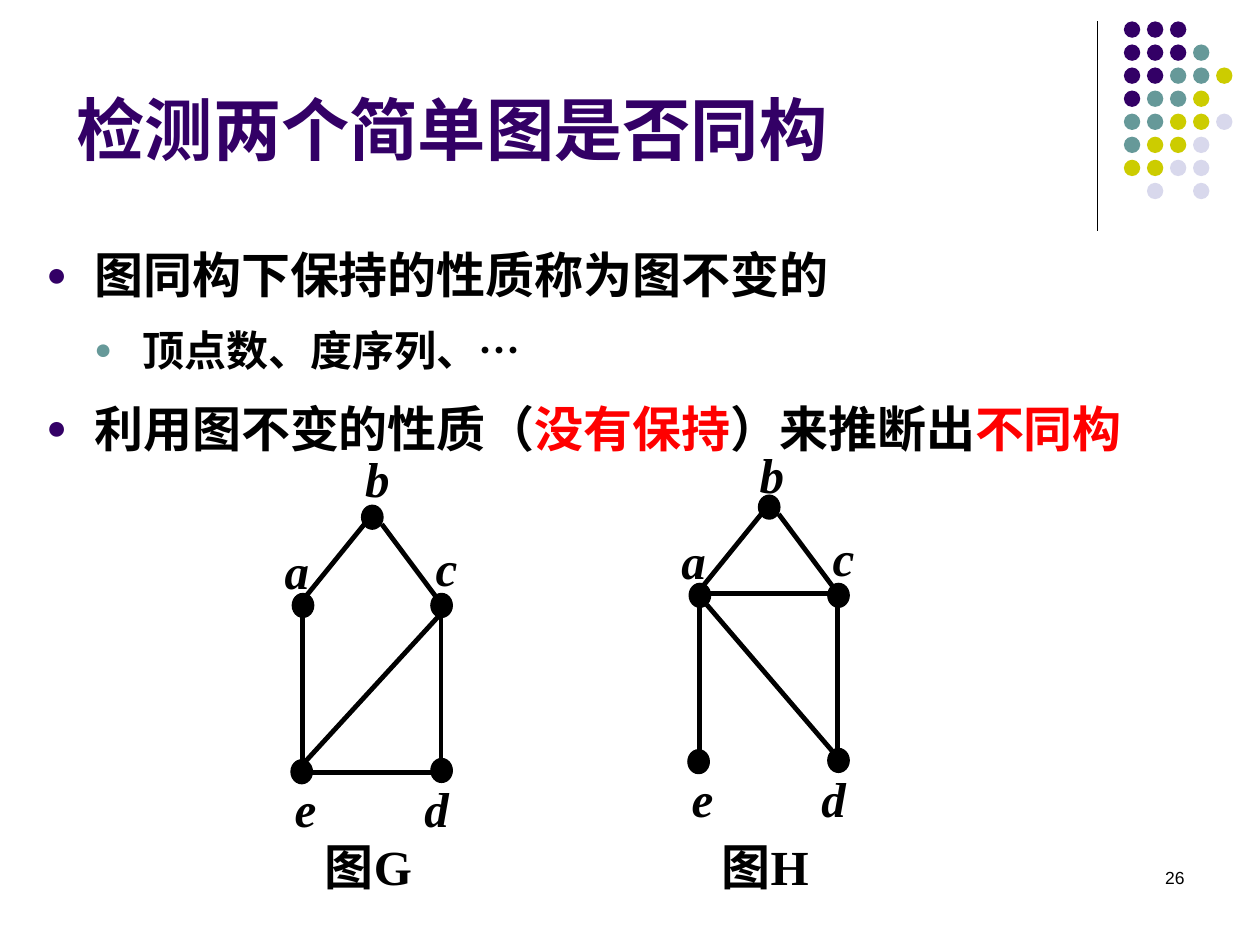
from dataclasses import dataclass

from lxml.etree import SubElement
from pptx import Presentation
from pptx.dml.color import RGBColor
from pptx.enum.lang import MSO_LANGUAGE_ID
from pptx.enum.shapes import MSO_CONNECTOR, MSO_SHAPE
from pptx.enum.text import MSO_ANCHOR, PP_ALIGN
from pptx.oxml.ns import qn
from pptx.util import Inches, Pt


@dataclass(frozen=True)
class Theme:
    plum: str = "330066"
    teal: str = "669999"
    lime: str = "CCCC00"
    pale: str = "D8D8EC"
    black: str = "000000"
    red: str = "FF0000"
    sans: str = "Arial"
    serif: str = "Times New Roman"
    title: int = 39
    body: int = 28
    sub: int = 24
    page: int = 10


THEME = Theme()

# Corner dots: one letter for each color, one string for each row
DOTS = ["PPP", "PPPT", "PPTTL", "PTTL", "TTLLV", "TLLV", "LLVV", " V V"]
HUES = {"P": THEME.plum, "T": THEME.teal, "L": THEME.lime, "V": THEME.pale}

# Graph layout in inches; the second graph is the first one shifted
NODES = [(2.32, 4.71), (2.87, 4.01), (3.42, 4.71), (3.42, 6.02), (2.31, 6.03)]
NAMES = {"a": (2.16, 4.24), "c": (3.36, 4.22), "e": (2.24, 6.13), "d": (3.27, 6.13)}
SHARED = [
    (2.43, 4.73, 2.9, 4.15),   # a-b
    (3.03, 4.16, 3.5, 4.79),   # b-c
    (3.5, 4.87, 3.5, 6.05),    # c-d
    (2.4, 4.87, 2.4, 6.05),    # a-e
]
ONLY_G = [(3.5, 4.87, 2.4, 6.07), (3.5, 6.13, 2.4, 6.13)]    # c-e, d-e
ONLY_H = [(2.46, 4.88, 3.48, 6.07), (3.58, 4.79, 2.48, 4.79)]  # a-d, a-c


def add_run(para, text, size=THEME.body, color=THEME.black, face=THEME.sans,
            bold=True, italic=False):
    run = para.add_run()
    run.text = text
    font = run.font
    font.name, font.size = face, Pt(size)
    font.bold, font.italic = bold, italic
    font.color.rgb = RGBColor.from_string(color)
    font.language_id = MSO_LANGUAGE_ID.SIMPLIFIED_CHINESE


def add_box(host, left, top, width, height, anchor=MSO_ANCHOR.TOP):
    frame = host.add_textbox(*map(Inches, (left, top, width, height))).text_frame
    frame.word_wrap = True
    frame.vertical_anchor = anchor
    return frame


def add_label(host, text, left, top, width=0.39, height=0.57, align=PP_ALIGN.LEFT,
              anchor=MSO_ANCHOR.TOP, **style):
    para = add_box(host, left, top, width, height, anchor).paragraphs[0]
    para.alignment = align
    add_run(para, text, **style)


def add_dot(host, left, top, width, height, color, edge=False):
    dot = host.add_shape(MSO_SHAPE.OVAL, *map(Inches, (left, top, width, height)))
    dot.shadow.inherit = False
    dot.fill.solid()
    dot.fill.fore_color.rgb = RGBColor.from_string(color)
    if edge:
        dot.line.color.rgb = RGBColor.from_string(color)
        dot.line.width = Pt(0.75)
    else:
        dot.line.fill.background()


def add_line(host, ends, width):
    line = host.add_connector(MSO_CONNECTOR.STRAIGHT, *map(Inches, ends))
    line.line.color.rgb = RGBColor.from_string(THEME.black)
    line.line.width = Pt(width)
    SubElement(line._element.spPr, qn("a:effectLst"))


def add_bullet(para, level, color):
    props = para._p.get_or_add_pPr()
    props.set("marL", str(Inches(0.38 * (level + 1))))
    props.set("indent", str(-Inches(0.38)))
    hue = SubElement(props, qn("a:buClr"))
    SubElement(hue, qn("a:srgbClr"), val=color)
    SubElement(props, qn("a:buSzPct"), val="70000")
    SubElement(props, qn("a:buFont"), typeface=THEME.sans)
    SubElement(props, qn("a:buChar"), char="●")


def add_points(host):
    points = [
        (0, [("图同构下保持的性质称为图不变的", THEME.black)]),
        (1, [("顶点数、度序列、…", THEME.black)]),
        (0, [("利用图不变的性质（", THEME.black), ("没有保持", THEME.red),
             ("）来推断出", THEME.black), ("不同构", THEME.red)]),
    ]
    looks = [(THEME.body, THEME.plum, 7), (THEME.sub, THEME.teal, 6)]
    frame = add_box(host, 0.27, 1.8, 9.45, 1.87)
    for i, (level, parts) in enumerate(points):
        size, color, gap = looks[level]
        para = frame.add_paragraph() if i else frame.paragraphs[0]
        para.level = level
        para.alignment = PP_ALIGN.JUSTIFY
        para.line_spacing = 1.2
        para.space_before = Pt(gap if i else 0)
        add_bullet(para, level, color)
        for text, hue in parts:
            add_run(para, text, size=size, color=hue)


def add_graph(host, edges, crown, dx=0.0, dy=0.0):
    group = host.add_group_shape().shapes
    for x1, y1, x2, y2 in SHARED + edges:
        add_line(group, (x1 + dx, y1 + dy, x2 + dx, y2 + dy), 2.75)
    for x, y in NODES:
        add_dot(group, x + dx, y + dy, 0.17, 0.19, THEME.black, edge=True)
    for name, (x, y) in {**NAMES, "b": crown}.items():
        add_label(group, name, x + dx, y + dy, face=THEME.serif, italic=True)


def add_corner(host):
    add_line(host, (8.71, 0.17, 8.71, 1.83), 0.75)
    group = host.add_group_shape().shapes
    step = 0.183
    for j, row in enumerate(DOTS):
        for i, key in enumerate(row):
            if key in HUES:
                add_dot(group, 8.92 + step * i, 0.17 + step * j, 0.13, 0.13, HUES[key])


def main():
    deck = Presentation()
    deck.slide_width, deck.slide_height = Inches(10), Inches(7.5)
    shapes = deck.slides.add_slide(deck.slide_layouts[6]).shapes

    # Corner ornament, title and points
    add_corner(shapes)
    add_label(shapes, "检测两个简单图是否同构", 0.51, 0.36, 8.25, 1.03,
              anchor=MSO_ANCHOR.BOTTOM, size=THEME.title, color=THEME.plum)
    add_points(shapes)

    # The two graphs with captions
    add_graph(shapes, ONLY_G, crown=(2.8, 3.51))
    add_graph(shapes, ONLY_H, crown=(2.78, 3.56), dx=3.15, dy=-0.08)
    add_label(shapes, "图G", 2.48, 6.59, 1.02, face=THEME.serif)
    add_label(shapes, "图H", 5.63, 6.59, 1.1, face=THEME.serif)

    # Page number
    add_label(shapes, "26", 7.17, 6.83, 2.33, 0.5, align=PP_ALIGN.RIGHT,
              size=THEME.page, bold=False)
    deck.save("out.pptx")


if __name__ == "__main__":
    main()
